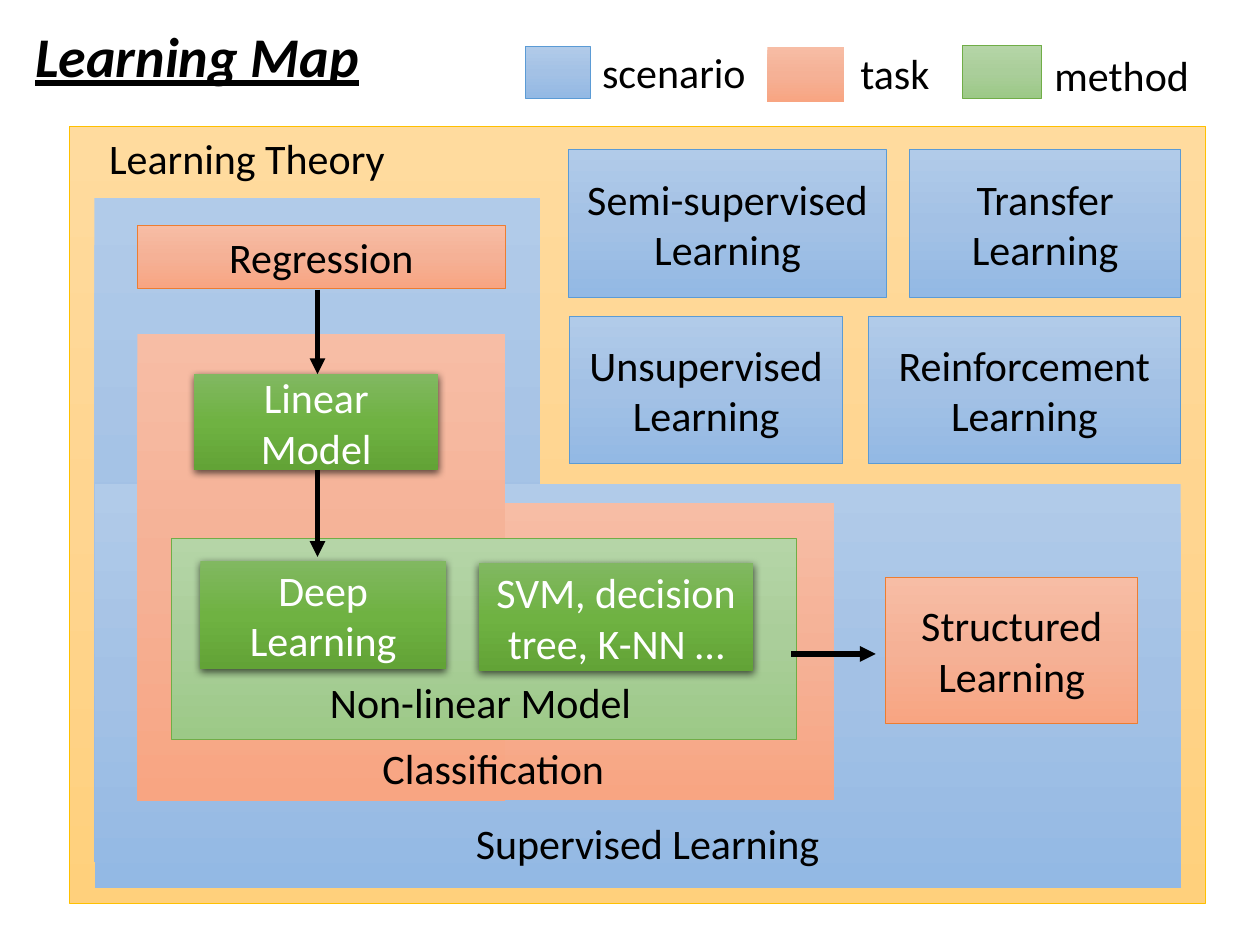
from copy import deepcopy
from dataclasses import dataclass

from lxml import etree
from pptx import Presentation
from pptx.dml.color import RGBColor
from pptx.enum import shapes, text
from pptx.oxml import parse_xml
from pptx.oxml.ns import nsdecls, qn
from pptx.util import Inches, Pt


@dataclass(frozen=True)
class Theme:
    font: str = "Calibri"
    title_size: int = 32
    body_size: int = 24
    dark: str = "000000"
    light: str = "FFFFFF"
    theory: tuple = ("FFDB9E", "FFD590", "FFD07C")
    theory_line: str = "FFC000"
    scenario: tuple = ("B1CBE9", "A3C1E5", "93B9E4")
    scenario_line: str = "5B9BD5"
    task: tuple = ("F7BDA5", "F5B196", "F8A582")
    task_line: str = "ED7D31"
    method: tuple = ("B5D5A7", "AACE9A", "9CC987")
    method_line: str = "70AD47"
    model: tuple = ("81B861", "6FB242", "62A336")


THEME = Theme()
CENTER = text.PP_ALIGN.CENTER
LEFT = text.PP_ALIGN.LEFT


def write(shape, words, color=THEME.dark, align=CENTER,
          anchor=text.MSO_ANCHOR.MIDDLE, size=THEME.body_size):
    frame = shape.text_frame
    frame.word_wrap = True
    frame.vertical_anchor = anchor
    frame.text = words
    paragraph = frame.paragraphs[0]
    paragraph.alignment = align
    font = paragraph.runs[0].font
    font.name = THEME.font
    font.size = Pt(size)
    font.color.rgb = RGBColor.from_string(color)
    return font


def fill_gradient(shape, colors):
    """Fill from top to bottom with three evenly spaced colours."""
    shape.fill.gradient()
    shape.fill.gradient_angle = 270
    stops = shape._element.spPr.find(".//" + qn("a:gsLst"))
    stops.insert(1, deepcopy(stops[0]))
    for stop, color, position in zip(shape.fill.gradient_stops, colors, (0, 0.5, 1)):
        stop.color.rgb = RGBColor.from_string(color)
        stop.position = position


def add_box(slide, bounds, colors, line=None, words=None, color=THEME.dark):
    shape = slide.shapes.add_shape(shapes.MSO_SHAPE.RECTANGLE, *map(Inches, bounds))
    shape.shadow.inherit = False
    fill_gradient(shape, colors)
    if line:
        shape.line.color.rgb = RGBColor.from_string(line)
        shape.line.width = Pt(0.5)
    else:
        shape.line.fill.background()
    if words:
        write(shape, words, color)
    return shape


def add_model(slide, bounds, words):
    """Add a concrete model: a darker green box that casts a shadow."""
    shape = add_box(slide, bounds, THEME.model, words=words, color=THEME.light)
    effects = shape._element.spPr.find(qn("a:effectLst"))
    effects.append(parse_xml(
        f'<a:outerShdw {nsdecls("a")} blurRad="{Pt(4.5)}" dist="{Pt(1.5)}" '
        'dir="5400000" algn="ctr" rotWithShape="0">'
        f'<a:srgbClr val="{THEME.dark}"><a:alpha val="63000"/></a:srgbClr>'
        '</a:outerShdw>'))


def add_label(slide, left, top, width, words, align=CENTER):
    label = slide.shapes.add_textbox(*map(Inches, (left, top, width, 0.5)))
    write(label, words, align=align, anchor=text.MSO_ANCHOR.TOP)


def add_arrow(slide, *ends):
    arrow = slide.shapes.add_connector(shapes.MSO_CONNECTOR.STRAIGHT, *map(Inches, ends))
    arrow.line.color.rgb = RGBColor.from_string(THEME.dark)
    arrow.line.width = Pt(3)
    etree.SubElement(arrow.line._get_or_add_ln(), qn("a:tailEnd"), type="triangle")
    etree.SubElement(arrow._element.spPr, qn("a:effectLst"))


def set_title(slide, words):
    title = slide.shapes.title
    title.left, title.top, title.width, title.height = map(Inches, (0.18, 0.12, 2.79, 0.64))
    font = write(title, words, align=LEFT, anchor=text.MSO_ANCHOR.TOP,
                 size=THEME.title_size)
    title.text_frame.word_wrap = False
    title.text_frame.auto_size = text.MSO_AUTO_SIZE.NONE
    font.bold = font.italic = font.underline = True


def add_supervised_learning(slide):
    add_box(slide, (0.75, 1.57, 3.54, 5.27), THEME.scenario)
    add_box(slide, (0.75, 3.84, 8.62, 3.21), THEME.scenario)
    add_box(slide, (1.46, 3.99, 5.16, 2.36), THEME.task)
    add_label(slide, 3.28, 6.44, 3.72, "Supervised Learning")
    add_box(slide, (1.09, 1.79, 2.92, 0.5), THEME.task, THEME.task_line, "Regression")
    add_box(slide, (1.09, 2.65, 2.92, 3.71), THEME.task)
    add_model(slide, (1.54, 2.97, 1.94, 0.76), "Linear Model")
    add_box(slide, (7.03, 4.58, 2, 1.16), THEME.task, THEME.task_line,
            "Structured Learning")
    add_label(slide, 2.8, 5.84, 2.23, "Classification")
    add_box(slide, (1.36, 4.27, 4.96, 1.6), THEME.method, THEME.method_line)
    add_model(slide, (1.59, 4.45, 1.95, 0.86), "Deep Learning")
    add_model(slide, (3.8, 4.47, 2.18, 0.86), "SVM, decision tree, K-NN …")
    add_label(slide, 2.43, 5.32, 2.77, "Non-linear Model")
    add_arrow(slide, 2.52, 2.3, 2.52, 2.97)
    add_arrow(slide, 2.52, 3.73, 2.52, 4.42)
    add_arrow(slide, 6.28, 5.19, 6.95, 5.19)


def add_other_scenarios(slide):
    for left, top, width, words in (
        (4.51, 1.19, 2.53, "Semi-supervised Learning"),
        (7.22, 1.19, 2.15, "Transfer Learning"),
        (4.52, 2.51, 2.17, "Unsupervised Learning"),
        (6.89, 2.51, 2.48, "Reinforcement Learning"),
    ):
        add_box(slide, (left, top, width, 1.17), THEME.scenario,
                THEME.scenario_line, words)


def add_legend(slide):
    for bounds, colors, line, label in (
        ((4.17, 0.37, 0.52, 0.41), THEME.scenario, THEME.scenario_line,
         (4.68, 0.32, 1.42, "scenario")),
        ((6.09, 0.37, 0.61, 0.44), THEME.task, None, (6.73, 0.33, 0.78, "task")),
        ((7.64, 0.36, 0.63, 0.42), THEME.method, THEME.method_line,
         (8.27, 0.34, 1.42, "method")),
    ):
        add_box(slide, bounds, colors, line)
        add_label(slide, *label, align=LEFT)


def main():
    presentation = Presentation()
    presentation.slide_width = Inches(10)
    presentation.slide_height = Inches(7.5)
    slide = presentation.slides.add_slide(presentation.slide_layouts[5])
    set_title(slide, "Learning Map")
    add_box(slide, (0.55, 1, 9.02, 6.17), THEME.theory, THEME.theory_line)
    add_supervised_learning(slide)
    add_other_scenarios(slide)
    add_legend(slide)
    add_label(slide, 0.75, 1, 2.42, "Learning Theory")
    presentation.save("out.pptx")


if __name__ == "__main__":
    main()
